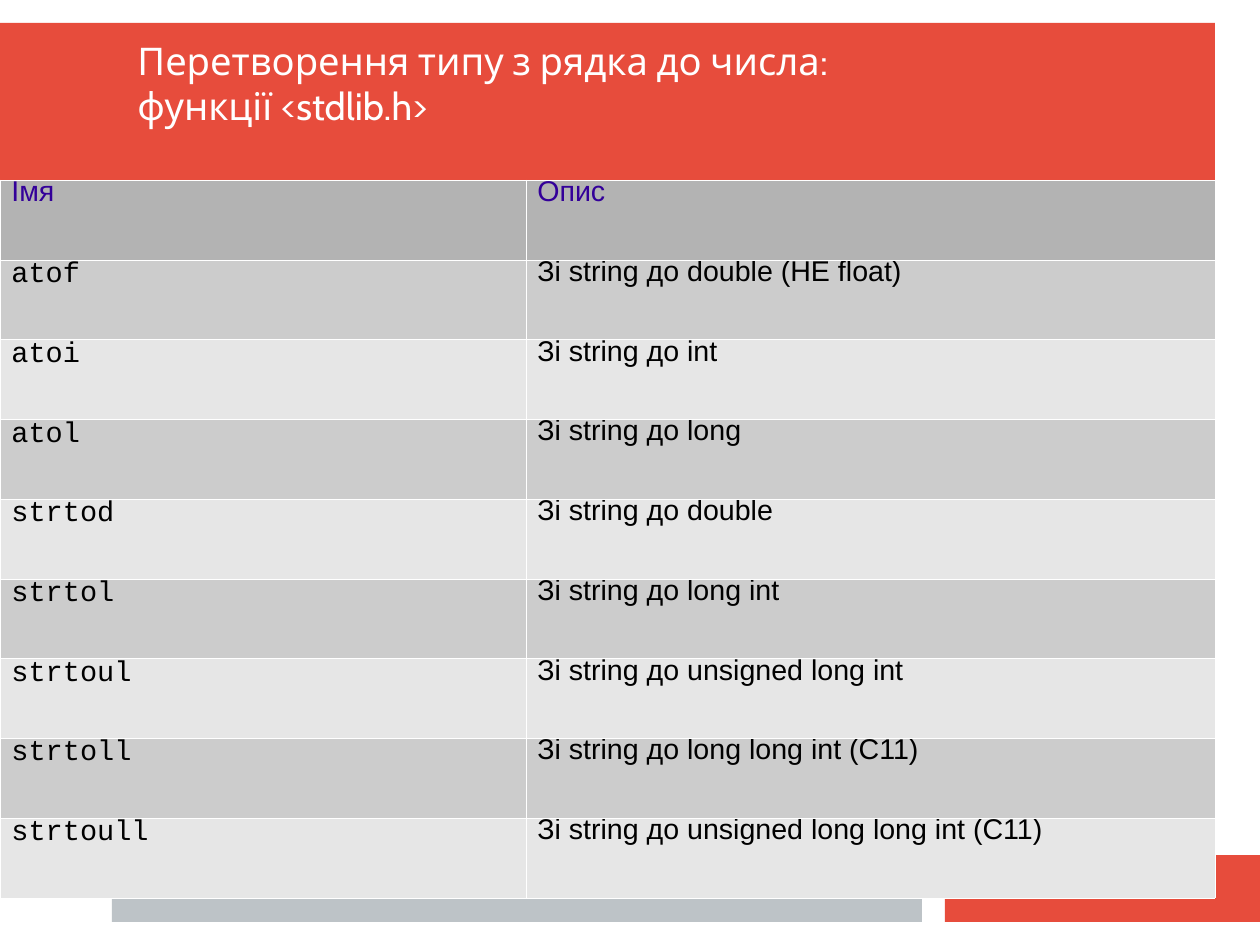
from lxml import etree
from pptx import Presentation
from pptx import util as u
from pptx.dml.color import RGBColor
from pptx.enum import shapes, text
from pptx.oxml.ns import qn

PX = 8000


def paint(fill, hue):
    fill.solid()
    fill.fore_color.rgb = RGBColor.from_string(hue)


def write(para, words, face, size, hue, gap):
    para.alignment = text.PP_ALIGN.LEFT
    para.line_spacing = gap
    run = para.add_run()
    run.text = words
    run.font.name = face
    run.font.size = u.Pt(size)
    paint(run.font.fill, hue)


deck = Presentation()
deck.slide_width = 1260 * PX
deck.slide_height = 945 * PX
slide = deck.slides.add_slide(deck.slide_layouts[5])

bars = [
    (0, 23, 1215, 158, "E74C3C"),
    (945, 855, 315, 67, "E74C3C"),
    (112, 855, 810, 67, "BDC3C7"),
]
for left, top, wide, high, hue in bars:
    bar = slide.shapes.add_shape(
        shapes.MSO_SHAPE.RECTANGLE, left * PX, top * PX, wide * PX, high * PX)
    bar.shadow.inherit = False
    paint(bar.fill, hue)
    bar.line.fill.background()

rows = [
    ("Імя", "Опис"),
    ("atof", "Зі string до double (НЕ float)"),
    ("atoi", "Зі string до int"),
    ("atol", "Зі string до long"),
    ("strtod", "Зі string до double"),
    ("strtol", "Зі string до long int"),
    ("strtoul", "Зі string до unsigned long int"),
    ("strtoll", "Зі string до long long int (С11)"),
    ("strtoull", "Зі string до unsigned long long int (С11)"),
]
frame = slide.shapes.add_table(
    len(rows), 2, 0, 180 * PX, 1215 * PX, 718 * PX)
grid = frame.table
grid.first_row = False
grid.horz_banding = False
grid.columns[0].width = 526 * PX
grid.columns[1].width = 689 * PX

for r, row in enumerate(rows):
    back = "B3B3B3" if r == 0 else ("E6E6E6", "CCCCCC")[r % 2]
    ink = "330099" if r == 0 else "000000"
    for c, words in enumerate(row):
        cell = grid.cell(r, c)
        code = r > 0 and c == 0
        face = "Courier New" if code else "Arial"
        write(cell.text_frame.paragraphs[0], words, face, 18, ink,
              0.66 if code else 0.62)
        prop = cell._tc.get_or_add_tcPr()
        for side in ("a:lnL", "a:lnR", "a:lnT", "a:lnB"):
            edge = etree.SubElement(prop, qn(side), w="762")
            fill = etree.SubElement(edge, qn("a:solidFill"))
            etree.SubElement(fill, qn("a:srgbClr"), val="FFFFFF")
        paint(cell.fill, back)

title = slide.shapes.title
title.left, title.top = 126 * PX, 34 * PX
title.width, title.height = 972 * PX, 79 * PX
body = title.text_frame
body.word_wrap = True
body.auto_size = text.MSO_AUTO_SIZE.NONE
body.vertical_anchor = text.MSO_ANCHOR.TOP
lines = ["Перетворення типу з рядка до числа:", "функції <stdlib.h>"]
for i, words in enumerate(lines):
    para = body.add_paragraph() if i else body.paragraphs[0]
    para.space_before = u.Pt(0)
    write(para, words, "Cabin", 24, "FFFFFF", 0.98)
slide.shapes._spTree.append(title._element)

deck.save("out.pptx")
